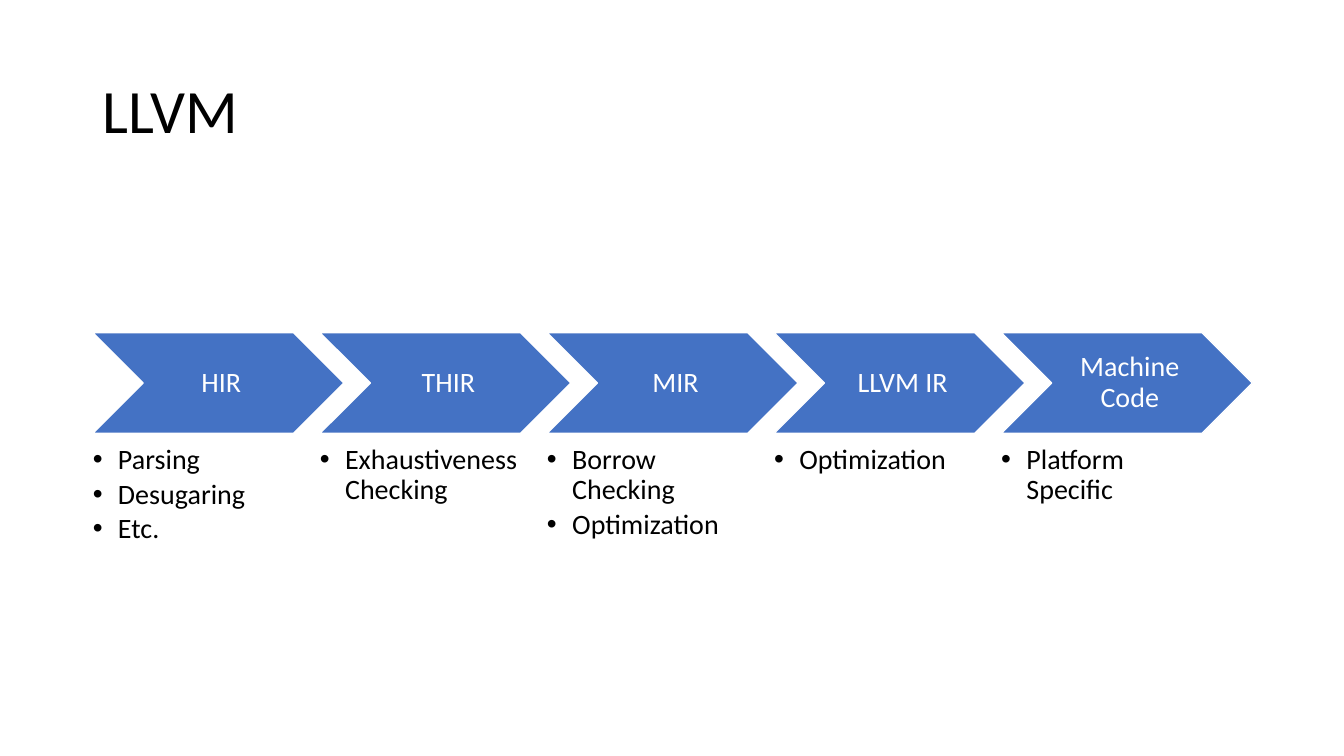
from lxml import etree
from pptx import Presentation
from pptx import util as u
from pptx.dml.color import RGBColor
from pptx.enum import shapes, text
from pptx.oxml import ns

TITLE = "LLVM"
STAGES = [
    ("HIR", ["Parsing", "Desugaring", "Etc."]),
    ("THIR", ["Exhaustiveness Checking"]),
    ("MIR", ["Borrow Checking", "Optimization"]),
    ("LLVM IR", ["Optimization"]),
    ("Machine Code", ["Platform Specific"]),
]

BLUE = RGBColor(0x44, 0x72, 0xC4)
WHITE = RGBColor(0xFF, 0xFF, 0xFF)
BLACK = RGBColor(0, 0, 0)

LEFT, WIDTH = 0.92, 11.5
STAGE_TOP, STAGE_W, STAGE_H = 3.3, 2.49, 1
TASKS_TOP, TASKS_W, TASKS_H = 4.42, 1.99, 1.03
PITCH = (WIDTH - STAGE_W) / (len(STAGES) - 1)
INDENT = u.Inches(0.25)

TITLE_FORMAT = {"size": 44, "color": BLACK, "align": text.PP_ALIGN.LEFT, "after": 0}
STAGE_FORMAT = {"size": 20, "color": WHITE, "align": text.PP_ALIGN.CENTER, "after": 0}
TASK_FORMAT = {"size": 20, "color": BLACK, "align": text.PP_ALIGN.LEFT, "after": 3}


def box(left, top, width, height):
    return [u.Inches(length) for length in (left, top, width, height)]


def write(frame, lines, style, margins, anchor):
    frame.word_wrap = True
    frame.auto_size = text.MSO_AUTO_SIZE.NONE
    frame.vertical_anchor = anchor
    for side, margin in zip(("left", "top", "right", "bottom"), margins):
        setattr(frame, f"margin_{side}", u.Inches(margin))
    frame.text = "\n".join(lines)
    for line in frame.paragraphs:
        values = {"alignment": style["align"], "line_spacing": 0.9,
                  "space_before": u.Pt(0), "space_after": u.Pt(style["after"])}
        for name, value in values.items():
            setattr(line, name, value)
        font = line.runs[0].font
        font.name, font.size = "Calibri", u.Pt(style["size"])
        font.color.rgb = style["color"]


def add_bullets(frame):
    for line in frame.paragraphs:
        props = line._p.get_or_add_pPr()
        props.set("marL", str(INDENT))
        props.set("indent", str(-INDENT))
        etree.SubElement(props, ns.qn("a:buFont")).set("typeface", "Arial")
        etree.SubElement(props, ns.qn("a:buChar")).set("char", "•")


deck = Presentation()
deck.slide_width, deck.slide_height = u.Inches(13.33), u.Inches(7.5)
slide = deck.slides.add_slide(deck.slide_layouts[5])

heading = slide.shapes.title
heading.left, heading.top, heading.width, heading.height = box(LEFT, 0.4, WIDTH, 1.45)
write(heading.text_frame, [TITLE], TITLE_FORMAT, (0.1, 0.05, 0.1, 0.05), text.MSO_ANCHOR.MIDDLE)

for index, (stage, tasks) in enumerate(STAGES):
    left = LEFT + index * PITCH
    chevron = slide.shapes.add_shape(
        shapes.MSO_SHAPE.CHEVRON, *box(left, STAGE_TOP, STAGE_W, STAGE_H))
    chevron.shadow.inherit = False
    chevron.fill.solid()
    chevron.fill.fore_color.rgb = BLUE
    chevron.line.color.rgb = WHITE
    chevron.line.width = u.Pt(1)
    write(chevron.text_frame, [stage], STAGE_FORMAT, (0.09, 0.03, 0.03, 0.03), text.MSO_ANCHOR.MIDDLE)

    task_list = slide.shapes.add_textbox(*box(left, TASKS_TOP, TASKS_W, TASKS_H)).text_frame
    write(task_list, tasks, TASK_FORMAT, (0, 0, 0, 0), text.MSO_ANCHOR.TOP)
    add_bullets(task_list)

deck.save("out.pptx")
